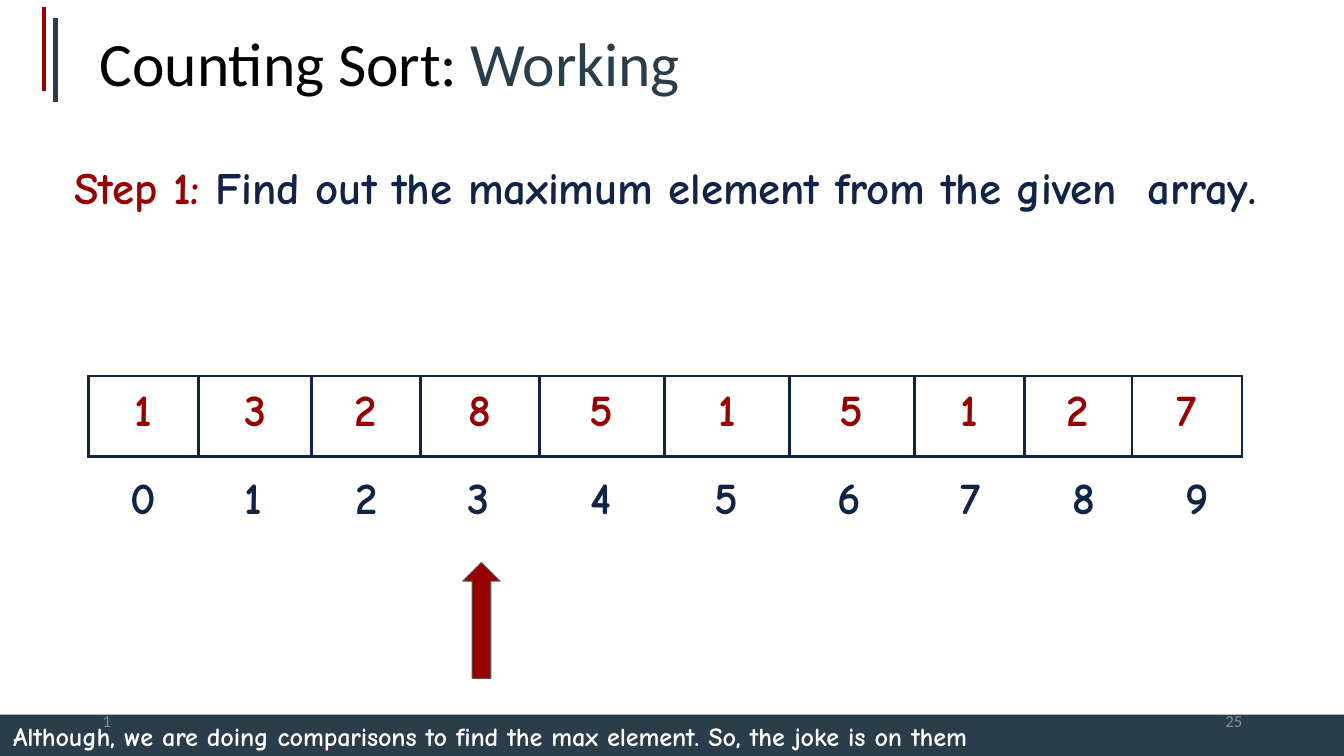
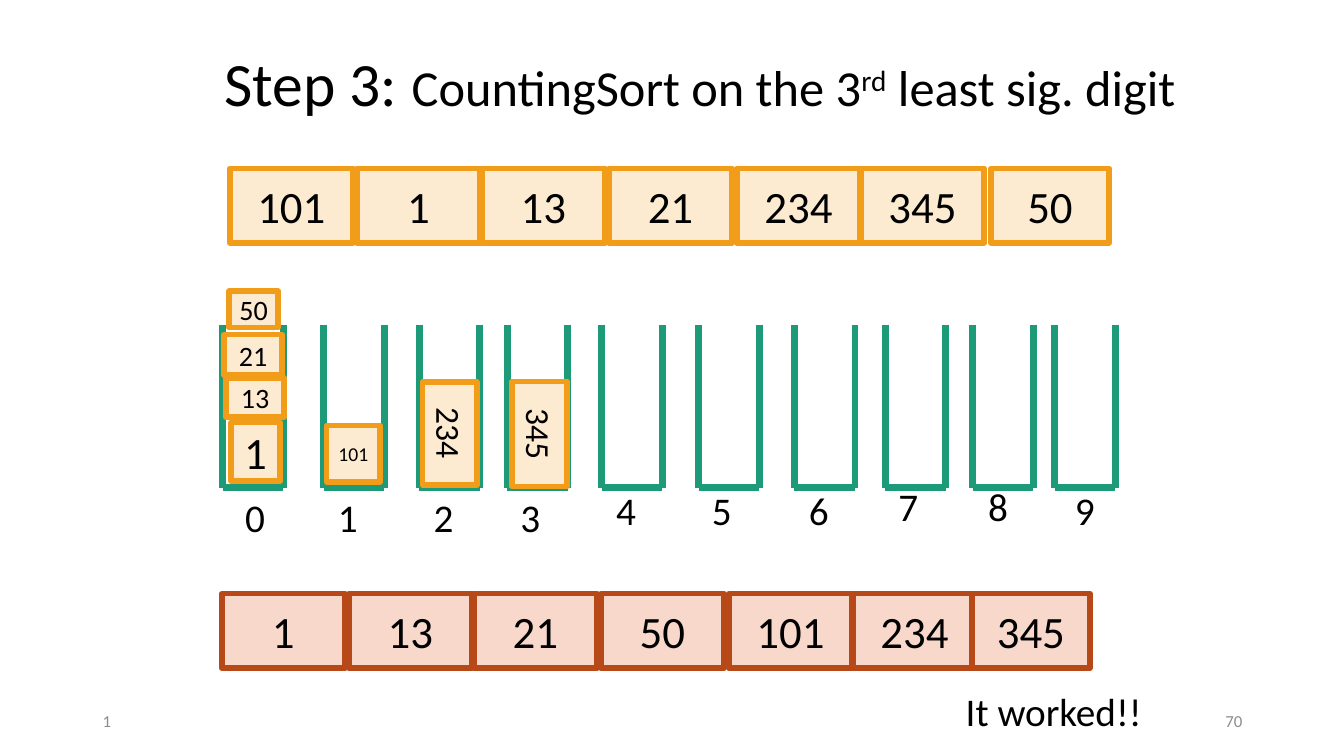
import pptx
import pptx.util
import pptx.dml.color
import pptx.enum.shapes
import pptx.enum.text
import pptx.oxml.ns
from lxml import etree

Inches = pptx.util.Inches
Pt = pptx.util.Pt
RGBColor = pptx.dml.color.RGBColor
SHAPE = pptx.enum.shapes.MSO_SHAPE
ALIGN = pptx.enum.text.PP_ALIGN
ANCHOR = pptx.enum.text.MSO_ANCHOR
qn = pptx.oxml.ns.qn

BLACK = RGBColor(0x00, 0x00, 0x00)
WHITE = RGBColor(0xFF, 0xFF, 0xFF)
SLATE = RGBColor(0x2A, 0x3D, 0x4B)
RED = RGBColor(0x97, 0x00, 0x00)
NAVY = RGBColor(0x11, 0x23, 0x46)
GREY = RGBColor(0x8C, 0x8C, 0x8C)
ARROW_EDGE = RGBColor(0x59, 0x59, 0x59)
TEAL = RGBColor(0x1D, 0x9A, 0x78)
CREAM = RGBColor(0xFC, 0xEB, 0xD1)
ORANGE = RGBColor(0xF1, 0x9D, 0x19)
PEACH = RGBColor(0xF8, 0xD8, 0xCA)
RUST = RGBColor(0xB7, 0x49, 0x19)

BODY = "Calibri"
COMIC = "Comic Neue"
TIGHT = (0.02, 0.03, 0, 0)
DEFAULT_INSETS = (0.1, 0.05, 0.1, 0.05)
TITLE_SIZE = 44

ACCENT_BARS = [(0.55, 0.18, SLATE), (0.44, 0.07, RED)]
BAR_HEIGHT = 0.83
ARRAY = [1, 3, 2, 8, 5, 1, 5, 1, 2, 7]
COLUMN_WIDTHS = [1.09, 1.12, 1.08, 1.18, 1.24, 1.24, 1.24, 1.09, 1.07, 1.09]
INDEX_TABS = [1.13, 2.24, 3.35, 4.57, 5.8, 7.02, 8.24, 9.35, 10.47]

BIN_TOP, BIN_BOTTOM, BIN_WIDTH = 3.22, 4.84, 0.6
BINS = [
    (2.21, 2.33, 4.84), (3.21, 3.25, 4.84), (4.16, 4.2, 4.84),
    (5.03, 5.06, 4.84), (5.97, 6.01, 4.78), (6.93, 6.96, 4.78),
    (7.88, 7.92, 4.78), (8.78, 8.81, 4.74), (9.65, 9.7, 4.74),
    (10.46, 10.56, 4.78),
]
TOKENS = [
    ("50", (2.27, 2.89, 0.49, 0.36), 20, 0),
    ("21", (2.22, 3.32, 0.58, 0.4), 20, 0),
    ("13", (2.24, 3.75, 0.58, 0.39), 20, 0),
    ("101", (3.24, 4.22, 0.53, 0.56), 14, 0),
    ("234", (3.95, 4.03, 1.02, 0.54), 24, 90),
    ("1", (2.29, 4.19, 0.49, 0.58), 32, 0),
    ("345", (4.83, 4.03, 1.04, 0.55), 24, 90),
]
ROW_OFFSETS = [0, 1.26, 2.5, 3.76, 5.03, 6.26]
ROWS = [
    (["1", "13", "21", "50", "101", "234", "345"], 2.2, 9.64, 5.89, PEACH, RUST),
    (["101", "1", "13", "21", "234", "345", "50"], 2.28, 9.83, 1.67, CREAM, ORANGE),
]


def add_run(p, text, size, color=BLACK, font=BODY, bold=False, **attrs):
    r = p.add_run()
    r.text = text
    r.font.size = Pt(size)
    r.font.name = font
    r.font.bold = bold
    r.font.color.rgb = color
    for name, value in attrs.items():
        r._r.get_or_add_rPr().set(name, str(value))


def set_insets(tf, insets):
    tf.margin_left, tf.margin_top, tf.margin_right, tf.margin_bottom = map(Inches, insets)


def add_text(s, box, anchor=ANCHOR.TOP, align=ALIGN.LEFT, insets=DEFAULT_INSETS, wrap=True):
    tf = s.shapes.add_textbox(*map(Inches, box)).text_frame
    tf.word_wrap = wrap
    tf.vertical_anchor = anchor
    set_insets(tf, insets)
    p = tf.paragraphs[0]
    p.alignment = align
    return p


def add_title(s, box, insets=DEFAULT_INSETS):
    return add_text(s, box, anchor=ANCHOR.MIDDLE, insets=insets)


def add_footer(s, number):
    for text, left, align in [("1", 0.92, ALIGN.LEFT), (number, 9.42, ALIGN.RIGHT)]:
        p = add_text(s, (left, 6.95, 3, 0.4), anchor=ANCHOR.MIDDLE, align=align)
        add_run(p, text, 12, GREY)


def add_line(s, x1, y1, x2, y2, color, width):
    line = s.shapes.add_connector(
        pptx.enum.shapes.MSO_CONNECTOR.STRAIGHT, *map(Inches, (x1, y1, x2, y2)))
    line.line.color.rgb = color
    line.line.width = Pt(width)
    etree.SubElement(line._element.spPr, qn("a:effectLst"))


def add_shape(s, kind, box, fill, edge=None, width=0):
    sp = s.shapes.add_shape(kind, *map(Inches, box))
    sp.shadow.inherit = False
    sp.fill.solid()
    sp.fill.fore_color.rgb = fill
    if edge is None:
        sp.line.fill.background()
    else:
        sp.line.color.rgb = edge
        sp.line.width = Pt(width)
    return sp


def add_number_box(s, text, box, size, fill, edge, rotation=0):
    sp = add_shape(s, SHAPE.RECTANGLE, box, fill, edge, 4)
    sp.rotation = rotation
    tf = sp.text_frame
    tf.word_wrap = True
    tf.vertical_anchor = ANCHOR.MIDDLE
    p = tf.paragraphs[0]
    p.alignment = ALIGN.CENTER
    add_run(p, text, size)


def set_borders(cell, color, width):
    tcPr = cell._tc.get_or_add_tcPr()
    for side in ("lnL", "lnR", "lnT", "lnB"):
        ln = etree.SubElement(tcPr, qn("a:" + side), w=str(Pt(width)))
        fill = etree.SubElement(ln, qn("a:solidFill"))
        etree.SubElement(fill, qn("a:srgbClr"), val=str(color))


def add_array_table(s):
    frame = s.shapes.add_table(
        1, len(ARRAY), Inches(0.88), Inches(3.73), Inches(sum(COLUMN_WIDTHS)), Inches(0.8))
    table = frame.table
    table.first_row = False
    table.horz_banding = False
    for i, (value, width) in enumerate(zip(ARRAY, COLUMN_WIDTHS)):
        table.columns[i].width = Inches(width)
        cell = table.cell(0, i)
        set_borders(cell, NAVY, 2.25)
        cell.fill.background()
        set_insets(cell, (0, 0.1, 0, 0))
        p = cell.text_frame.paragraphs[0]
        p.alignment = ALIGN.CENTER
        add_run(p, str(value), 32, RED, COMIC, True)


def add_index_labels(s):
    p = add_text(s, (1.27, 4.63, 10.75, 0.56), insets=TIGHT)
    tabs = etree.SubElement(p._p.get_or_add_pPr(), qn("a:tabLst"))
    for tab in INDEX_TABS:
        etree.SubElement(tabs, qn("a:tab"), pos=str(Inches(tab)), algn="l")
    add_run(p, "\t".join(str(i) for i in range(len(ARRAY))), 32, NAVY, COMIC, True)


def build_maximum_slide(prs):
    s = prs.slides.add_slide(prs.slide_layouts[6])
    p = add_title(s, (0.97, 0.22, 7.62, 0.76), TIGHT)
    add_run(p, "Counting Sort: ", TITLE_SIZE, spc=-10)
    add_run(p, "Working", TITLE_SIZE, SLATE, spc=-10)
    for x, top, color in ACCENT_BARS:
        add_line(s, x, top, x, top + BAR_HEIGHT, color, 3)
    add_shape(s, SHAPE.RECTANGLE, (0, 7.09, 13.33, 0.41), SLATE)
    p = add_text(s, (0.11, 7.12, 10.96, 0.33), insets=TIGHT)
    add_run(p, "Although, we are doing comparisons to find the max element. "
            "So, the joke is on them", 18.7, WHITE, COMIC, True, spc=-10)
    p = add_text(s, (0.72, 1.55, 11.84, 1.1), insets=TIGHT)
    add_run(p, "Step 1: ", 32, RED, COMIC, True, spc=-10)
    add_run(p, "Find out the maximum element from the given  array.",
            32, NAVY, COMIC, True, spc=-10)
    add_array_table(s)
    add_index_labels(s)
    add_shape(s, SHAPE.UP_ARROW, (4.59, 5.58, 0.37, 1.15), RED, ARROW_EDGE, 0.75)
    add_footer(s, "25")


def build_third_digit_slide(prs):
    s = prs.slides.add_slide(prs.slide_layouts[6])
    p = add_title(s, (2.13, 0.41, 9.77, 0.9))
    p.line_spacing = 0.9
    add_run(p, "Step 3: ", TITLE_SIZE)
    add_run(p, "CountingSort on the 3", 36)
    add_run(p, "rd", 36, baseline=30000)
    add_run(p, " least sig. digit", 36)
    for digit, (left, label_left, label_top) in enumerate(BINS):
        right = left + BIN_WIDTH
        for x in (left, right):
            add_line(s, x, BIN_TOP, x, BIN_BOTTOM, TEAL, 5)
        add_line(s, left, BIN_BOTTOM, right, BIN_BOTTOM, TEAL, 5)
        p = add_text(s, (label_left, label_top, 0.4, 0.57), align=ALIGN.CENTER, wrap=False)
        add_run(p, str(digit), 28)
    for text, box, size, rotation in TOKENS:
        add_number_box(s, text, box, size, CREAM, ORANGE, rotation)
    for values, left, last_left, top, fill, edge in ROWS:
        cells = [(left + offset, 1.22) for offset in ROW_OFFSETS] + [(last_left, 1.17)]
        for text, (x, width) in zip(values, cells):
            add_number_box(s, text, (x, top, width, 0.74), 32, fill, edge)
    add_run(add_text(s, (9.48, 6.77, 1.96, 0.57)), "It worked!!", 28)
    add_footer(s, "70")


def main():
    prs = pptx.Presentation()
    prs.slide_width = Inches(13.33)
    prs.slide_height = Inches(7.5)
    build_maximum_slide(prs)
    build_third_digit_slide(prs)
    prs.save("out.pptx")


if __name__ == "__main__":
    main()
